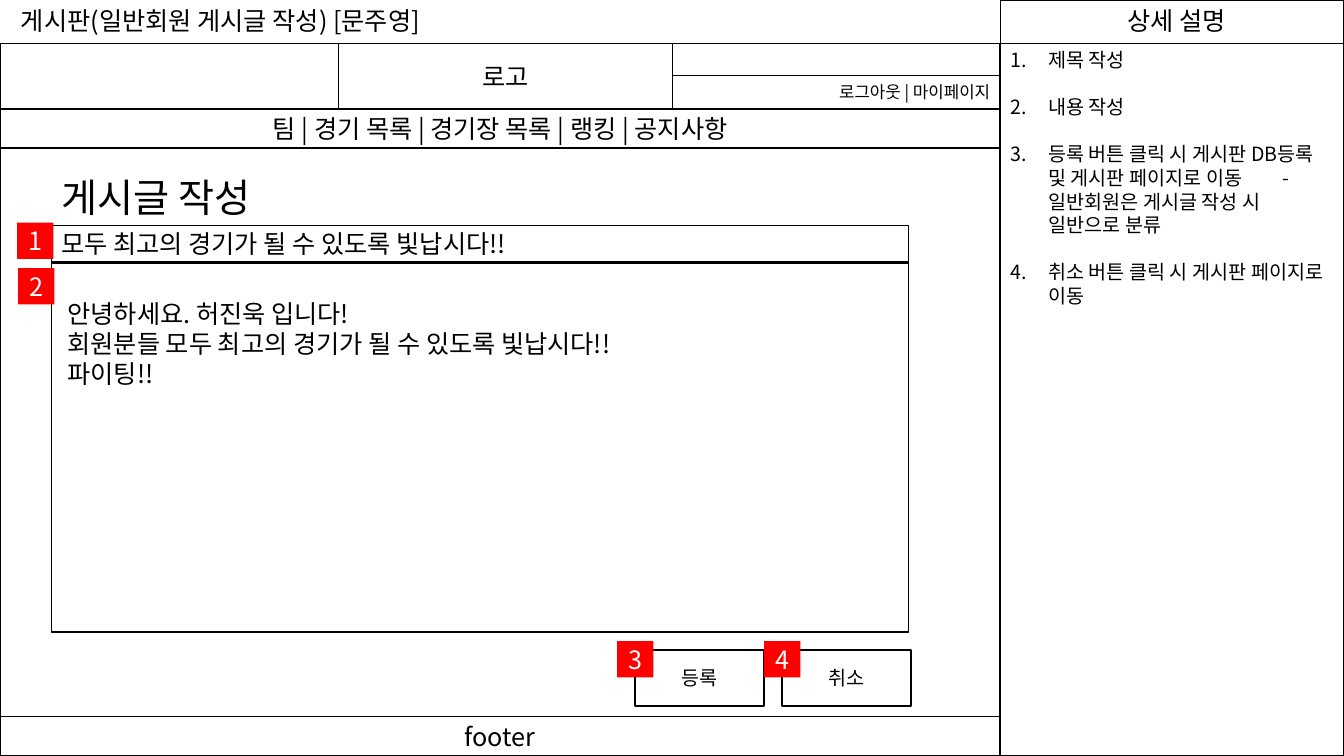
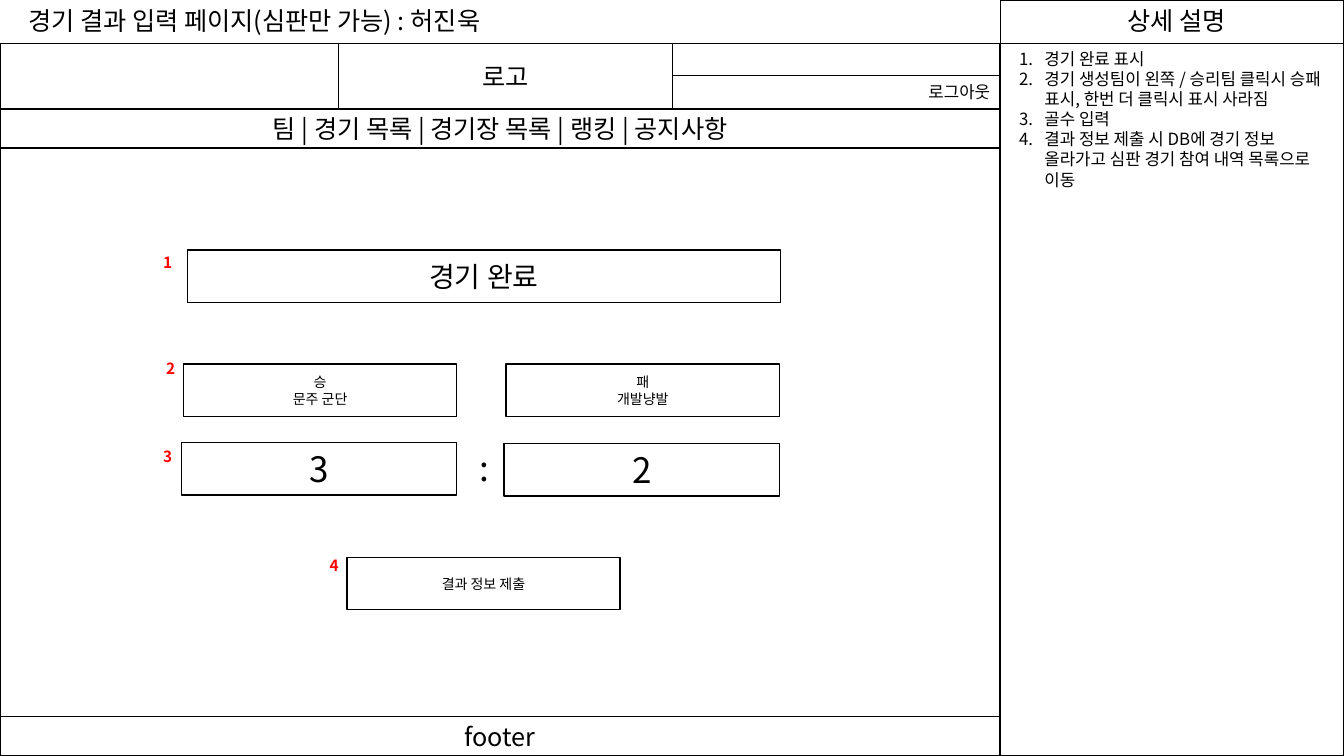
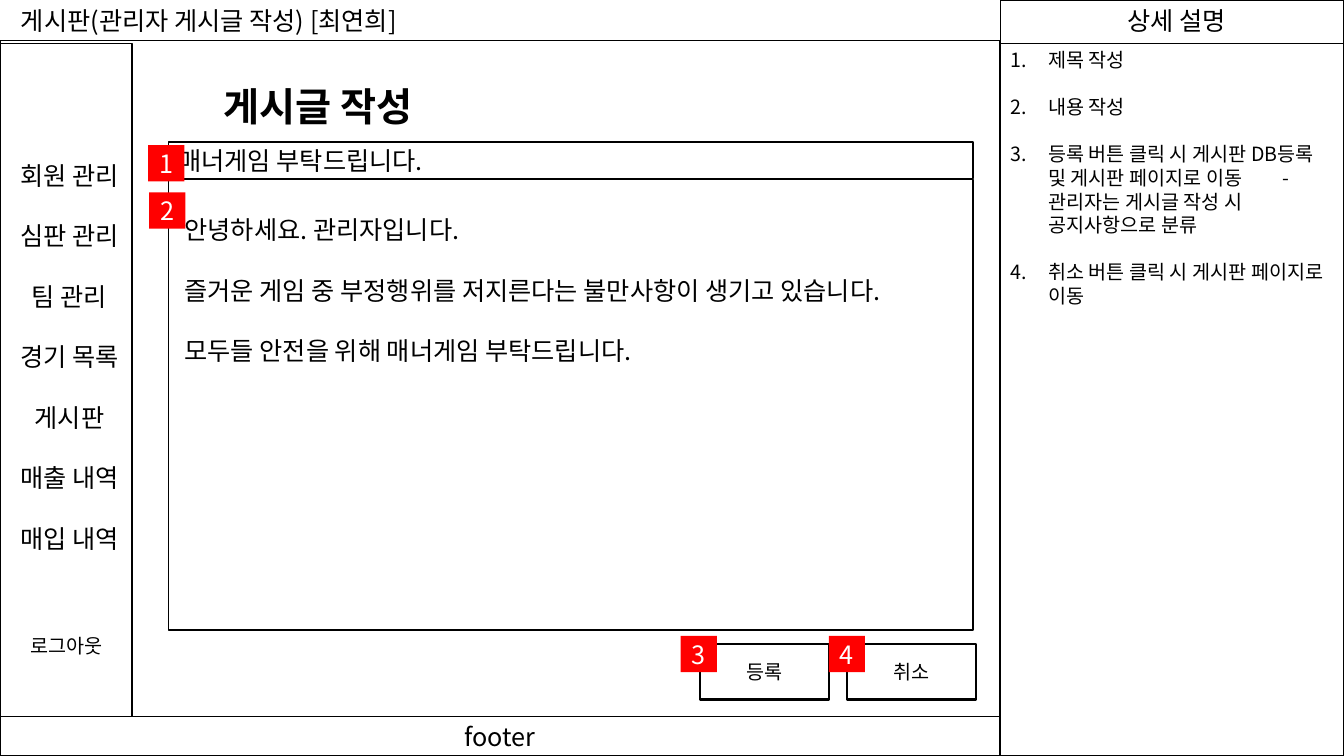
from dataclasses import dataclass

from lxml.etree import SubElement
from pptx import Presentation
from pptx.dml.color import RGBColor
from pptx.enum.shapes import MSO_SHAPE
from pptx.enum.text import MSO_ANCHOR, PP_ALIGN
from pptx.oxml.ns import qn
from pptx.util import Inches, Pt


@dataclass(frozen=True)
class Theme:
    font: str = "Noto Sans CJK KR"
    ink: RGBColor = RGBColor(0, 0, 0)
    paper: RGBColor = RGBColor(255, 255, 255)
    mark: RGBColor = RGBColor(255, 0, 0)
    heading: int = 28
    score: int = 25
    status: int = 20
    body: int = 18
    note: int = 14
    small: int = 12
    mark_size: int = 11
    tiny: int = 10


T = Theme()
LEFT, CENTER, RIGHT = PP_ALIGN.LEFT, PP_ALIGN.CENTER, PP_ALIGN.RIGHT
TOP, MIDDLE = MSO_ANCHOR.TOP, MSO_ANCHOR.MIDDLE

# Shared page grid, in inches
WIDTH, HEIGHT = 13.33, 7.5
MAIN_W = 9.92
HEAD_H = 0.43
NAV_Y, NAV_H = 1.08, 0.39
FOOT_Y = 7.11
BADGE = 0.36
BUTTON_W, BUTTON_H, BUTTON_STEP = 1.28, 0.55, 1.46

NAV = "팀 | 경기 목록 | 경기장 목록 | 랭킹 | 공지사항"
MENU = ["회원 관리", "심판 관리", "팀 관리", "경기 목록", "게시판", "매출 내역", "매입 내역"]


def post_notes(rule):
    return [
        "제목 작성",
        "내용 작성",
        f"등록 버튼 클릭 시 게시판 DB등록 및 게시판 페이지로 이동\t- {rule}",
        "취소 버튼 클릭 시 게시판 페이지로 이동",
    ]


MEMBER_POST = dict(
    title="게시판(일반회원 게시글 작성) [문주영]",
    notes=post_notes("일반회원은 게시글 작성 시 일반으로 분류"),
    heading=(0.51, 1.67, False),
    form=(0.51, 2.24, 8.5, 3.66),
    subject="모두 최고의 경기가 될 수 있도록 빛납시다!!",
    body=["안녕하세요. 허진욱 입니다!", "회원분들 모두 최고의 경기가 될 수 있도록 빛납시다!!", "파이팅!!"],
    body_gap=0,
    buttons=(6.3, 6.45),
    badges=[(0.17, 2.21), (0.18, 2.66), (6.12, 6.36), (7.58, 6.36)],
)
ADMIN_POST = dict(
    title="게시판(관리자 게시글 작성) [최연희]",
    notes=post_notes("관리자는 게시글 작성 시 공지사항으로 분류"),
    heading=(2.12, 0.77, True),
    form=(1.67, 1.41, 7.98, 4.47),
    subject="매너게임 부탁드립니다.",
    body=["안녕하세요. 관리자입니다.", "즐거운 게임 중 부정행위를 저지른다는 불만사항이 생기고 있습니다.",
          "모두들 안전을 위해 매너게임 부탁드립니다."],
    body_gap=21.6,
    buttons=(6.94, 6.39),
    badges=[(1.47, 1.44), (1.48, 1.91), (6.75, 6.31), (8.22, 6.31)],
)
RESULT_TITLE = "경기 결과 입력 페이지(심판만 가능) : 허진욱"
RESULT_NOTES = [
    "경기 완료 표시",
    "경기 생성팀이 왼쪽 / 승리팀 클릭시 승패 표시, 한번 더 클릭시 표시 사라짐",
    "골수 입력",
    "결과 정보 제출 시 DB에 경기 정보 올라가고 심판 경기 참여 내역 목록으로 이동",
]
RESULT_BOXES = [
    ((1.86, 2.48, 5.88, 0.52), ["경기 완료"], T.status),
    ((1.82, 3.61, 2.71, 0.52), ["승", "문주 군단"], T.tiny),
    ((5.02, 3.61, 2.71, 0.52), ["패", "개발냥발"], T.tiny),
    ((1.8, 4.39, 2.73, 0.52), ["3"], T.score),
    ((5, 4.4, 2.73, 0.52), ["2"], T.score),
    ((3.44, 5.53, 2.71, 0.52), ["결과 정보 제출"], T.tiny),
]
RESULT_MARKS = [(1.52, 2.46), (1.55, 3.51), (1.52, 4.39), (3.17, 5.47)]


def write(sp, lines, size, align=LEFT, anchor=MIDDLE, color=T.ink, bold=False, gap=0, wrap=True):
    """Fill a shape with one paragraph per line; gap is the space after each, in points."""
    tf = sp.text_frame
    tf.word_wrap = wrap
    tf.vertical_anchor = anchor
    for i, line in enumerate(lines):
        p = tf.add_paragraph() if i else tf.paragraphs[0]
        p.alignment = align
        if i < len(lines) - 1:
            p.space_after = Pt(gap)
        r = p.add_run()
        r.text = line
        r.font.size, r.font.bold, r.font.name = Pt(size), bold, T.font
        r.font.color.rgb = color
        SubElement(r._r.get_or_add_rPr(), qn("a:ea"), typeface=T.font)
    return tf


def box(s, at, lines=(), size=T.body, fill=T.paper, line=1, **style):
    sp = s.shapes.add_shape(MSO_SHAPE.RECTANGLE, *map(Inches, at))
    sp.shadow.inherit = False
    sp.fill.solid()
    sp.fill.fore_color.rgb = fill
    if line:
        sp.line.color.rgb = T.ink
        sp.line.width = Pt(line)
    else:
        sp.line.fill.background()
    return write(sp, lines, size, **style)


def label(s, at, lines, size, **style):
    sp = s.shapes.add_textbox(*map(Inches, at))
    return write(sp, lines, size, anchor=TOP, **style)


def numbered(s, at, lines, size, indent, gap=0, tab=None):
    tf = label(s, at, lines, size, gap=gap)
    for p in tf.paragraphs:
        pPr = p._p.get_or_add_pPr()
        pPr.set("marL", str(Inches(indent)))
        pPr.set("indent", str(-Inches(indent)))
        SubElement(pPr, qn("a:buFont"), typeface="+mj-lt")
        SubElement(pPr, qn("a:buAutoNum"), type="arabicPeriod")
        if tab:
            tabs = SubElement(pPr, qn("a:tabLst"))
            SubElement(tabs, qn("a:tab"), pos=str(Inches(tab)), algn="l")


def add_page(prs, title, title_x, main_y):
    """Add a slide with the description panel, main frame, footer and title."""
    s = prs.slides.add_slide(prs.slide_layouts[6])
    panel_w = WIDTH - MAIN_W
    box(s, (MAIN_W, HEAD_H, panel_w, HEIGHT - HEAD_H))
    box(s, (MAIN_W, 0, panel_w, HEAD_H))
    label(s, (11.08, 0, 1.3, 0.4), ["상세 설명"], T.body, wrap=False)
    box(s, (0, main_y, MAIN_W, FOOT_Y - main_y))
    box(s, (0, FOOT_Y, MAIN_W, HEIGHT - FOOT_Y), ["footer"], align=CENTER)
    label(s, (title_x, 0, 5.33, 0.4), [title], T.body, wrap=False)
    return s


def add_site_header(s, account):
    box(s, (0, HEAD_H, MAIN_W, NAV_Y + NAV_H - HEAD_H))
    box(s, (3.36, HEAD_H, 3.31, NAV_Y - HEAD_H), ["로고"], align=CENTER)
    box(s, (0, NAV_Y, MAIN_W, NAV_H), [NAV], align=CENTER)
    box(s, (6.67, 0.75, 3.25, 0.33), [account], T.small, align=RIGHT)


def add_admin_menu(s):
    box(s, (0, HEAD_H, 1.31, FOOT_Y - HEAD_H))
    label(s, (0, 1.54, 1.38, 4.34), MENU, T.body, align=CENTER, gap=21.6)
    label(s, (0.2, 6.24, 1.31, 0.34), ["로그아웃"], T.note)


def add_post_form(s, post):
    x, y, bold = post["heading"]
    label(s, (x, y, 2.3, 0.57), ["게시글 작성"], T.heading, bold=bold, wrap=False)
    numbered(s, (MAIN_W, HEAD_H, 3.41, 2.93), post["notes"], T.note, 0.38, gap=16.8, tab=2.7)
    x, y, w, h = post["form"]
    box(s, (x, y, w, 0.36), [post["subject"]])
    tf = box(s, (x, y + 0.37, w, h), post["body"], anchor=TOP, gap=post["body_gap"])
    tf.margin_left, tf.margin_top = Inches(0.16), Inches(0.35)
    x, y = post["buttons"]
    for i, name in enumerate(["등록", "취소"]):
        box(s, (x + i * BUTTON_STEP, y, BUTTON_W, BUTTON_H), [name], T.note, line=1.5, align=CENTER)
    for n, (x, y) in enumerate(post["badges"], 1):
        box(s, (x, y, BADGE, BADGE), [str(n)], fill=T.mark, line=0, color=T.paper, align=CENTER)


def add_result_form(s):
    numbered(s, (10.01, HEAD_H, 3.21, 1.72), RESULT_NOTES, T.small, 0.25)
    for at, lines, size in RESULT_BOXES:
        box(s, at, lines, size, align=CENTER)
    label(s, (4.66, 4.38, 0.28, 0.52), [":"], T.score)
    for n, (x, y) in enumerate(RESULT_MARKS, 1):
        label(s, (x, y, 0.38, 0.29), [str(n)], T.mark_size, color=T.mark, bold=True)


def main():
    prs = Presentation()
    prs.slide_width, prs.slide_height = Inches(WIDTH), Inches(HEIGHT)

    s = add_page(prs, MEMBER_POST["title"], 0.11, NAV_Y)
    add_site_header(s, "로그아웃 | 마이페이지")
    add_post_form(s, MEMBER_POST)

    s = add_page(prs, RESULT_TITLE, 0.18, NAV_Y + NAV_H)
    add_site_header(s, "로그아웃")
    add_result_form(s)

    s = add_page(prs, ADMIN_POST["title"], 0.11, 0.4)
    add_admin_menu(s)
    add_post_form(s, ADMIN_POST)

    prs.save("out.pptx")


if __name__ == "__main__":
    main()
